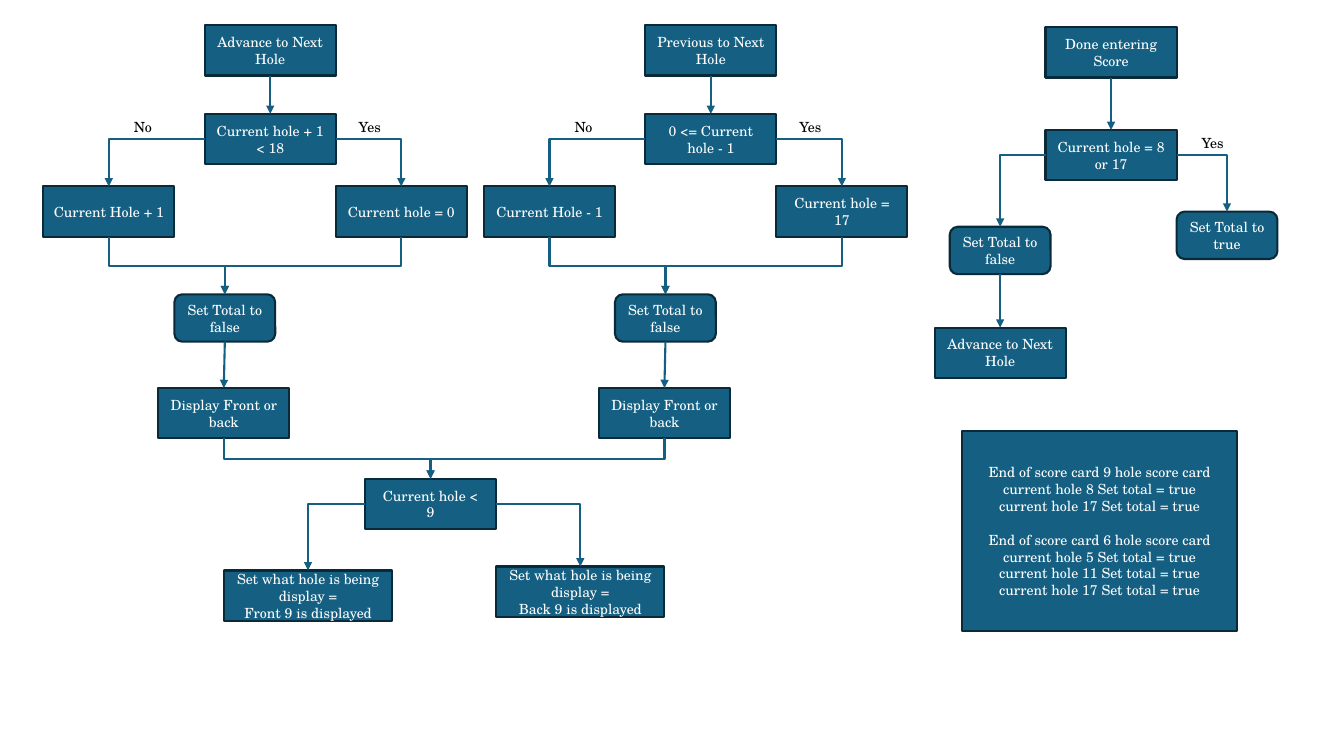
from dataclasses import dataclass

import pptx
import pptx.dml.color
import pptx.enum.dml
import pptx.enum.shapes
import pptx.enum.text
import pptx.oxml
import pptx.oxml.ns
import pptx.presentation
import pptx.shapes.autoshape
import pptx.shapes.connector
import pptx.slide
import pptx.text.text
import pptx.util

Inches = pptx.util.Inches
COLORS = {"fill": "156082", "border": "092A39", "box_text": "FFFFFF", "label": "000000"}
FONT = "TeX Gyre Schola"
RECT = pptx.enum.shapes.MSO_SHAPE.RECTANGLE
ROUND = pptx.enum.shapes.MSO_SHAPE.ROUNDED_RECTANGLE
TOP, LEFT, BOTTOM, RIGHT = range(4)
COLUMN_STEP = 4.37


@dataclass
class Box:
    key: str
    left: float
    top: float
    lines: list[str]
    width: float = 1.3
    height: float = 0.5
    shape: int = RECT
    gap_before: int = -1


@dataclass
class Link:
    start: str
    end: str
    route: str = "straight"
    side: int = BOTTOM


@dataclass
class Label:
    text: str
    left: float
    top: float
    width: float = 0.44


def total_box(key: str, left: float, top: float, value: str) -> Box:
    return Box(key, left, top, [f"Set Total to {value}"], 1, 0.47, ROUND)


def hole_boxes(name: str, shift: float, title: str, test: str, no: str, yes: str) -> list[Box]:
    return [
        Box(f"{name} title", 2.03 + shift, 0.25, [title]),
        Box(f"{name} test", 2.03 + shift, 1.13, [test]),
        Box(f"{name} no", 0.43 + shift, 1.85, [no]),
        Box(f"{name} yes", 3.33 + shift, 1.85, [yes]),
        total_box(f"{name} total", 1.73 + shift, 2.92, "false"),
        Box(f"{name} display", 1.57 + shift, 3.85, ["Display Front or back"]),
    ]


def hole_links(name: str) -> list[Link]:
    return [
        Link(f"{name} title", f"{name} test"),
        Link(f"{name} test", f"{name} no", "corner", LEFT),
        Link(f"{name} test", f"{name} yes", "corner", RIGHT),
        Link(f"{name} no", f"{name} total", "merge"),
        Link(f"{name} yes", f"{name} total", "merge"),
        Link(f"{name} total", f"{name} display"),
        Link(f"{name} display", "nine test", "merge"),
    ]


BOXES = [
    *hole_boxes("next", 0, "Advance to Next Hole", "Current hole + 1 < 18",
                "Current Hole + 1", "Current hole = 0"),
    *hole_boxes("previous", COLUMN_STEP, "Previous to Next Hole", "0 <= Current hole - 1",
                "Current Hole - 1", "Current hole = 17"),
    Box("nine test", 3.62, 4.75, ["Current hole <", "9"]),
    Box("front", 2.22, 5.66, ["Set what hole is being display =", "Front 9 is displayed"], 1.67),
    Box("back", 4.92, 5.62, ["Set what hole is being display =", "Back 9 is displayed"], 1.67),
    Box("done title", 10.37, 0.27, ["Done entering Score"]),
    Box("done test", 10.37, 1.29, ["Current hole = 8 or 17"]),
    total_box("done true", 11.67, 2.1, "true"),
    total_box("done false", 9.42, 2.25, "false"),
    Box("done advance", 9.27, 3.25, ["Advance to Next Hole"]),
    Box("summary", 9.54, 4.28, [
        "End of score card 9 hole score card",
        "current hole 8 Set total = true",
        "current hole 17 Set total = true",
        "End of score card 6 hole score card",
        "current hole 5 Set total = true",
        "current hole 11 Set total = true",
        "current hole 17 Set total = true",
    ], 2.73, 1.98, gap_before=3),
]

LINKS = [
    *hole_links("next"),
    *hole_links("previous"),
    Link("nine test", "front", "corner", LEFT),
    Link("nine test", "back", "corner", RIGHT),
    Link("done title", "done test"),
    Link("done test", "done false", "corner", LEFT),
    Link("done test", "done true", "corner", RIGHT),
    Link("done false", "done advance"),
]

LABELS = [
    Label("No", 1.23, 1.13, 0.39),
    Label("Yes", 3.46, 1.13),
    Label("No", 1.23 + COLUMN_STEP, 1.13, 0.39),
    Label("Yes", 3.46 + COLUMN_STEP, 1.13),
    Label("Yes", 11.82, 1.29),
]


def color(name: str) -> pptx.dml.color.RGBColor:
    return pptx.dml.color.RGBColor.from_string(COLORS[name])


def add_span(para: pptx.text.text._Paragraph, text: str, color_name: str) -> None:
    span = para.add_run()
    span.text = text
    span.font.name = FONT
    span.font.size = pptx.util.Pt(10)
    span.font.color.rgb = color(color_name)


def draw_box(page: pptx.slide.Slide, box: Box) -> pptx.shapes.autoshape.Shape:
    shape = page.shapes.add_shape(
        box.shape, Inches(box.left), Inches(box.top), Inches(box.width), Inches(box.height))
    shape.shadow.inherit = False
    shape.fill.solid()
    shape.fill.fore_color.rgb = color("fill")
    shape.line.color.rgb = color("border")
    shape.line.width = pptx.util.Pt(1.5)
    frame = shape.text_frame
    frame.word_wrap = True
    frame.vertical_anchor = pptx.enum.text.MSO_ANCHOR.MIDDLE
    for index, line in enumerate(box.lines):
        para = frame.add_paragraph() if index else frame.paragraphs[0]
        para.alignment = pptx.enum.text.PP_ALIGN.CENTER
        if index == box.gap_before:
            para.space_before = pptx.util.Pt(12)
        add_span(para, line, "box_text")
    return shape


def turn_downward(arrow: pptx.shapes.connector.Connector) -> None:
    across, down = arrow.width, arrow.height
    arrow.left += (across - down) // 2
    arrow.top += (down - across) // 2
    arrow.width, arrow.height = down, across
    frame = arrow.element.spPr.xfrm
    goes_right = not frame.flipH
    frame.flipH = goes_right
    frame.rot = 270 if goes_right else 90


def draw_link(page: pptx.slide.Slide, link: Link,
              shapes: dict[str, pptx.shapes.autoshape.Shape]) -> None:
    kinds = pptx.enum.shapes.MSO_CONNECTOR
    kind = kinds.STRAIGHT if link.route == "straight" else kinds.ELBOW
    arrow = page.shapes.add_connector(kind, 0, 0, 0, 0)
    arrow.begin_connect(shapes[link.start], link.side)
    arrow.end_connect(shapes[link.end], TOP)
    properties = arrow.element.spPr
    if link.route == "corner":
        properties.find(pptx.oxml.ns.qn("a:prstGeom")).set("prst", "bentConnector2")
    elif link.route == "merge":
        turn_downward(arrow)
    arrow.line.color.rgb = color("fill")
    arrow.line.width = pptx.util.Pt(1.5)
    head = pptx.oxml.parse_xml(f'<a:tailEnd {pptx.oxml.ns.nsdecls("a")} type="triangle"/>')
    properties.find(pptx.oxml.ns.qn("a:ln")).append(head)
    properties.append(pptx.oxml.parse_xml(f'<a:effectLst {pptx.oxml.ns.nsdecls("a")}/>'))


def draw_label(page: pptx.slide.Slide, label: Label) -> None:
    box = page.shapes.add_textbox(
        Inches(label.left), Inches(label.top), Inches(label.width), Inches(0.27))
    box.text_frame.word_wrap = False
    box.text_frame.auto_size = pptx.enum.text.MSO_AUTO_SIZE.SHAPE_TO_FIT_TEXT
    add_span(box.text_frame.paragraphs[0], label.text, "label")


def main() -> None:
    deck = pptx.Presentation()
    deck.slide_width, deck.slide_height = Inches(13.33), Inches(7.5)
    page = deck.slides.add_slide(deck.slide_layouts[6])
    shapes = {box.key: draw_box(page, box) for box in BOXES}
    for link in LINKS:
        draw_link(page, link, shapes)
    for label in LABELS:
        draw_label(page, label)
    deck.save("out.pptx")


if __name__ == "__main__":
    main()
